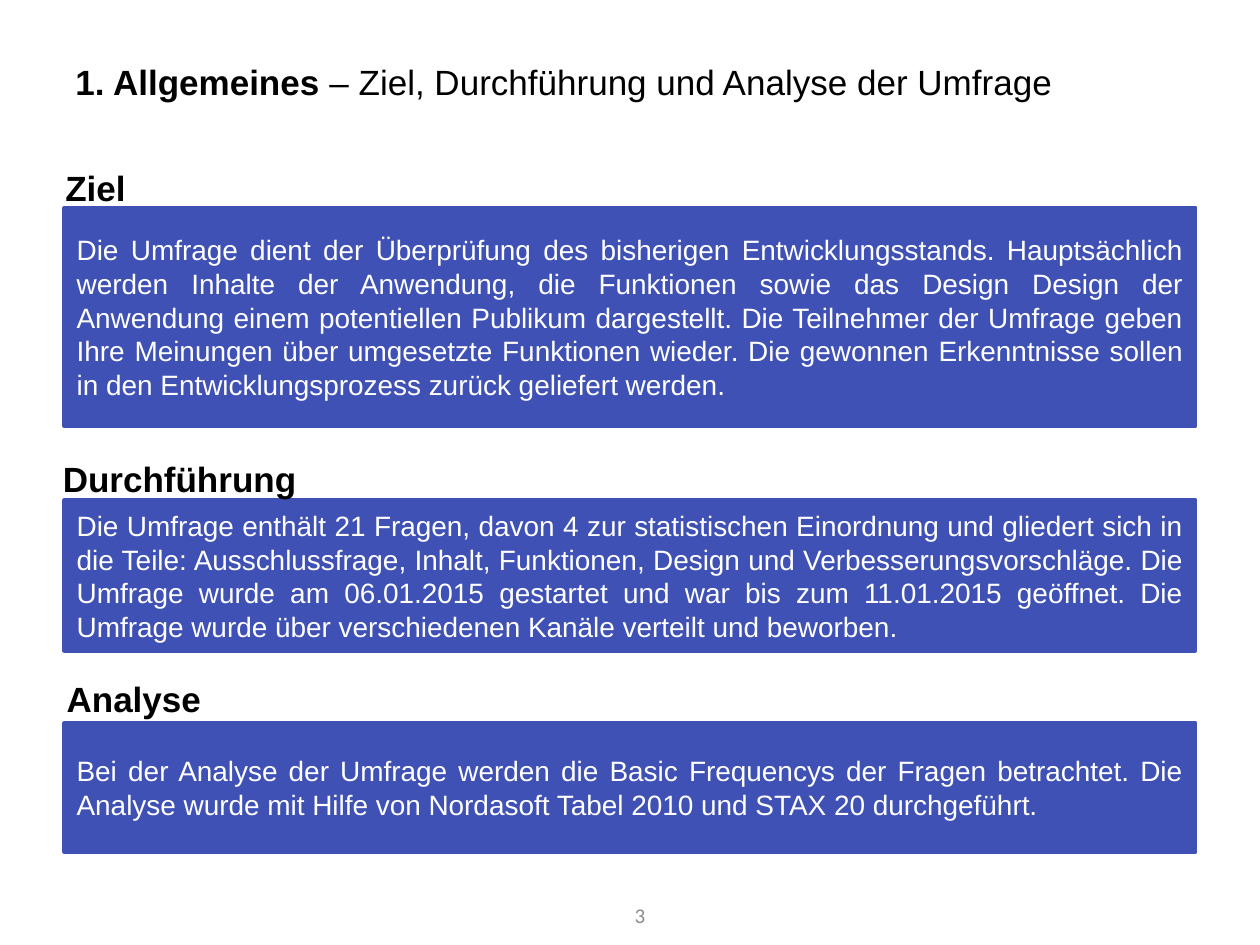
from dataclasses import dataclass

from pptx import Presentation
from pptx.dml.color import RGBColor
from pptx.enum.shapes import MSO_SHAPE
from pptx.enum.text import MSO_ANCHOR, PP_ALIGN
from pptx.util import Inches, Pt

RECTANGLE = MSO_SHAPE.RECTANGLE
TOP, MIDDLE = MSO_ANCHOR.TOP, MSO_ANCHOR.MIDDLE
LEFT, RIGHT, JUSTIFY = PP_ALIGN.LEFT, PP_ALIGN.RIGHT, PP_ALIGN.JUSTIFY
BLANK_LAYOUT = 6


@dataclass(frozen=True)
class Theme:
    panel: RGBColor = RGBColor(0x3F, 0x51, 0xB5)
    dark: RGBColor = RGBColor(0, 0, 0)
    light: RGBColor = RGBColor(0xFF, 0xFF, 0xFF)
    muted: RGBColor = RGBColor(0x8C, 0x8C, 0x8C)
    heading_size: int = 20
    body_size: int = 16
    number_size: int = 12
    line_width: int = 2
    font: str = "Arial"
    number_font: str = "Calibri"


class SlideBuilder:
    def __init__(self, slide, theme):
        self.slide = slide
        self.theme = theme

    def add_run(self, paragraph, text, size, color, bold=False, font=None):
        run = paragraph.add_run()
        run.text = text
        run.font.name = font or self.theme.font
        run.font.size = Pt(size)
        run.font.bold = bold
        run.font.color.rgb = color

    def text_box(self, left, top, width, height, anchor=TOP, align=LEFT, wrap=True):
        shape = self.slide.shapes.add_textbox(
            Inches(left), Inches(top), Inches(width), Inches(height))
        frame = shape.text_frame
        frame.word_wrap = wrap
        frame.vertical_anchor = anchor
        paragraph = frame.paragraphs[0]
        paragraph.alignment = align
        return paragraph

    def title(self, topic, detail):
        paragraph = self.text_box(0.5, 0.3, 9.15, 0.69, MIDDLE)
        size, color = self.theme.heading_size, self.theme.dark
        self.add_run(paragraph, topic, size, color, bold=True)
        self.add_run(paragraph, detail, size, color)

    def heading(self, text, left, top, width):
        paragraph = self.text_box(left, top, width, 0.44, wrap=False)
        self.add_run(paragraph, text, self.theme.heading_size, self.theme.dark, bold=True)

    def panel(self, text, top, height):
        shape = self.slide.shapes.add_shape(
            RECTANGLE, Inches(0.51), Inches(top), Inches(8.98), Inches(height))
        shape.shadow.inherit = False
        shape.fill.solid()
        shape.fill.fore_color.rgb = self.theme.panel
        shape.line.color.rgb = self.theme.panel
        shape.line.width = Pt(self.theme.line_width)
        frame = shape.text_frame
        frame.word_wrap = True
        frame.vertical_anchor = MIDDLE
        paragraph = frame.paragraphs[0]
        paragraph.alignment = JUSTIFY
        self.add_run(paragraph, text, self.theme.body_size, self.theme.light)

    def slide_number(self, number):
        paragraph = self.text_box(4.59, 7.06, 0.63, 0.4, MIDDLE, RIGHT)
        self.add_run(paragraph, number, self.theme.number_size, self.theme.muted,
                     font=self.theme.number_font)


SECTIONS = [
    ("Ziel", (0.42, 1.27, 0.68), (1.65, 1.73),
     "Die Umfrage dient der Überprüfung des bisherigen Entwicklungsstands. "
     "Hauptsächlich werden Inhalte der Anwendung, die Funktionen sowie das Design "
     "Design der Anwendung einem potentiellen Publikum dargestellt. Die Teilnehmer "
     "der Umfrage geben Ihre Meinungen über umgesetzte Funktionen wieder. Die "
     "gewonnen Erkenntnisse sollen in den Entwicklungsprozess zurück geliefert werden."),
    ("Durchführung", (0.4, 3.58, 2.07), (3.97, 1.2),
     "Die Umfrage enthält 21 Fragen, davon 4 zur statistischen Einordnung und "
     "gliedert sich in die Teile: Ausschlussfrage, Inhalt, Funktionen, Design und "
     "Verbesserungsvorschläge. Die Umfrage wurde am 06.01.2015 gestartet und war bis "
     "zum 11.01.2015 geöffnet. Die Umfrage wurde über verschiedenen Kanäle verteilt "
     "und beworben."),
    ("Analyse", (0.43, 5.33, 1.28), (5.74, 1.02),
     "Bei der Analyse der Umfrage werden die Basic Frequencys der Fragen betrachtet. "
     "Die Analyse wurde mit Hilfe von Nordasoft Tabel 2010 und STAX 20 durchgeführt."),
]


def main():
    presentation = Presentation()
    presentation.slide_width = Inches(10)
    presentation.slide_height = Inches(7.5)
    slide = presentation.slides.add_slide(presentation.slide_layouts[BLANK_LAYOUT])
    builder = SlideBuilder(slide, Theme())
    builder.title("1. Allgemeines ", "– Ziel, Durchführung und Analyse der Umfrage")
    for name, heading_place, panel_place, text in SECTIONS:
        builder.panel(text, *panel_place)
        builder.heading(name, *heading_place)
    builder.slide_number("3")
    presentation.save("out.pptx")


if __name__ == "__main__":
    main()
